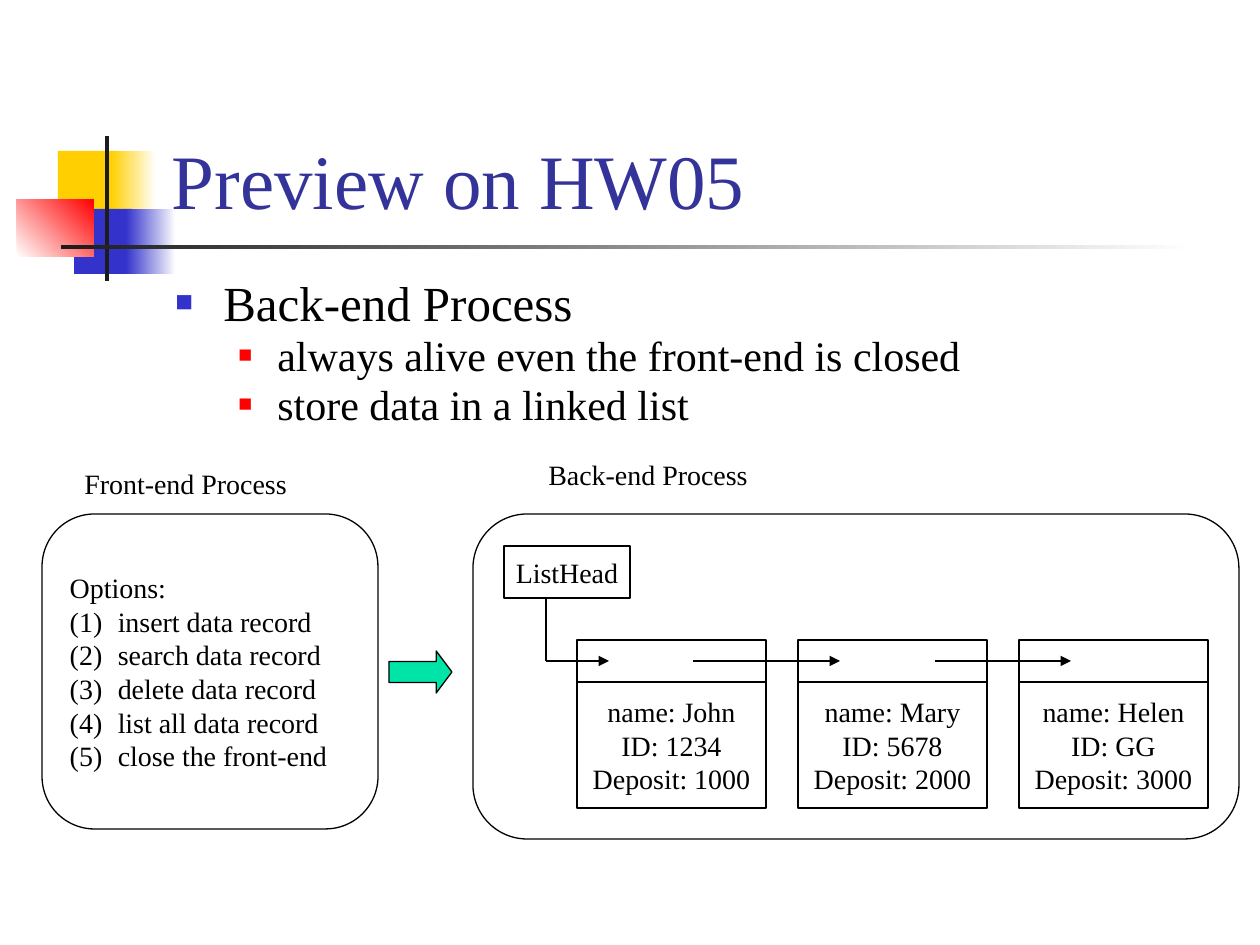
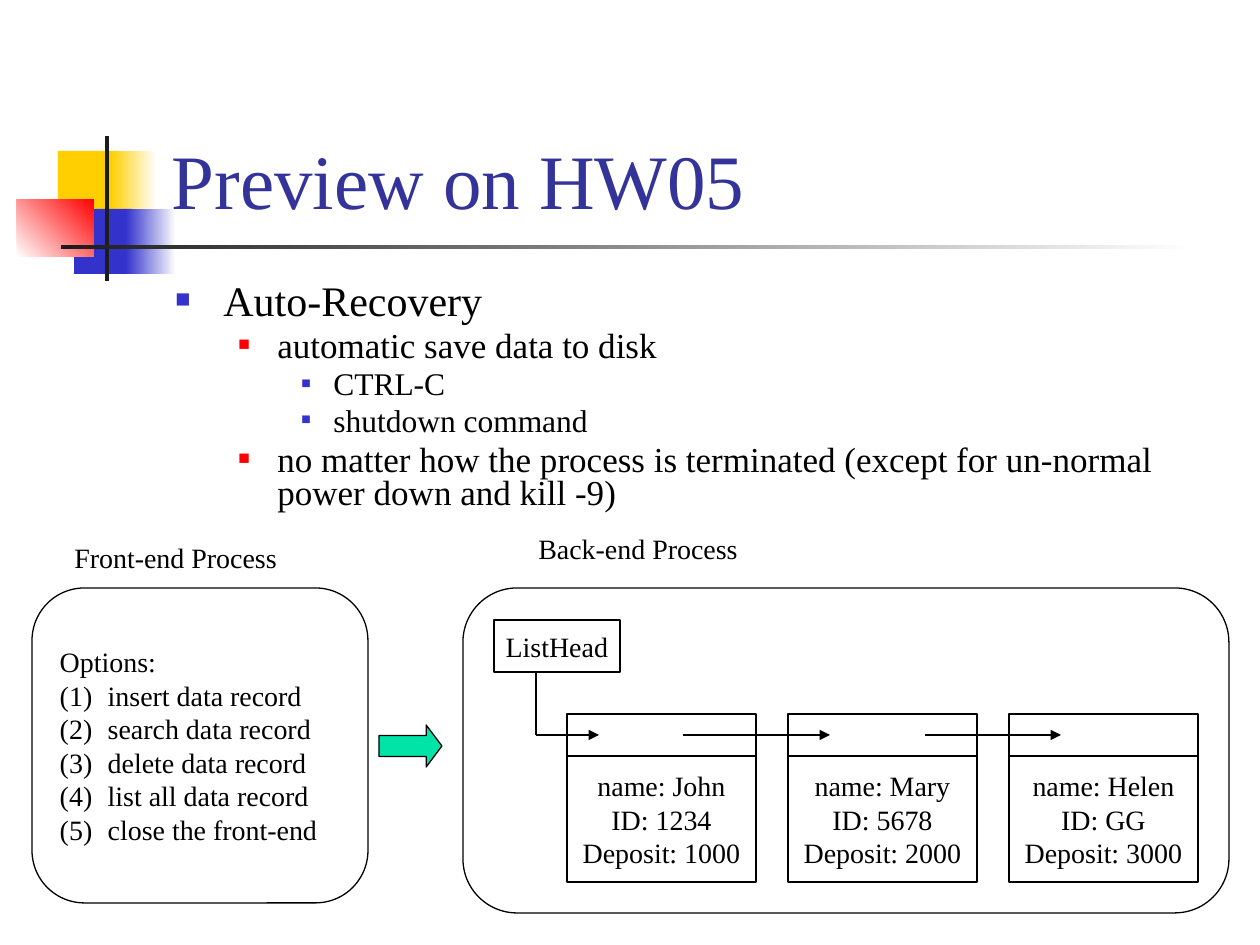
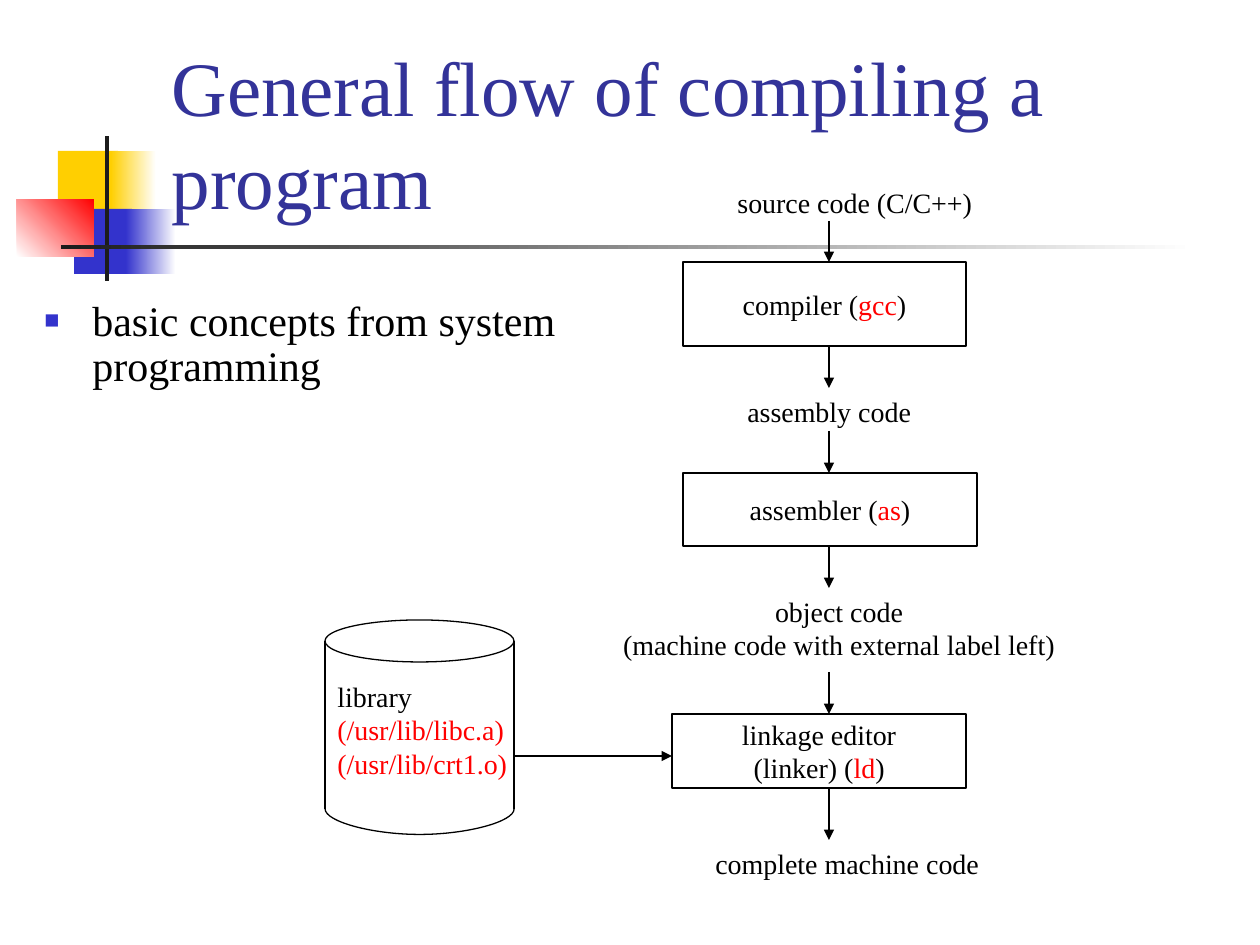
from lxml import etree
from pptx import Presentation
from pptx.dml.color import RGBColor
from pptx.enum.shapes import MSO_CONNECTOR, MSO_SHAPE
from pptx.enum.text import MSO_ANCHOR, MSO_AUTO_SIZE, PP_ALIGN
from pptx.oxml.ns import qn
from pptx.util import Emu, Pt

RECT = MSO_SHAPE.RECTANGLE
ROUND = MSO_SHAPE.ROUNDED_RECTANGLE
ARROW = MSO_SHAPE.RIGHT_ARROW
OVAL = MSO_SHAPE.OVAL
LINE = MSO_CONNECTOR.STRAIGHT
CURVE = MSO_CONNECTOR.CURVE
LEFT, MID = PP_ALIGN.LEFT, PP_ALIGN.CENTER
GROW, FIXED = MSO_AUTO_SIZE.SHAPE_TO_FIT_TEXT, MSO_AUTO_SIZE.NONE

FONT = "Times New Roman"
BLACK, WHITE, RED = "000000", "FFFFFF", "FF0000"
NAVY, BLUE, GOLD = "333399", "3333CC", "FFCF01"
DARK, GREEN = "1C1C1C", "00E4A8"
LEVELS = [(48, 48, BLUE, 60), (102, 39, RED, 55), (158, 32, BLUE, 50)]
BANDS = [
    (58, 151, 60, 65, GOLD, None, 0),
    (111, 151, 45, 65, GOLD, WHITE, 0),
    (74, 209, 58, 65, BLUE, None, 0),
    (126, 209, 50, 65, BLUE, WHITE, 0),
    (17, 199, 77, 58, WHITE, RED, 45),
    (105, 136, 4, 145, DARK, None, 0),
    (61, 245, 1134, 4, DARK, WHITE, 0),
]
NODES = [("John", "1234", "1000"), ("Mary", "5678", "2000"),
         ("Helen", "GG", "3000")]
OPTIONS = ["insert data record", "search data record", "delete data record",
           "list all data record", "close the front-end"]


def px(n):
    """Turn picture pixels into EMU."""
    return Emu(round(n * 914400 / 126))


def rgb(code):
    """Turn a hex string into a colour."""
    return RGBColor.from_string(code)


def sub(node, tag, **attrs):
    """Append one XML child with attributes."""
    child = etree.SubElement(node, qn(tag))
    for key, val in attrs.items():
        child.set(key, str(val))
    return child


class Deck:
    """Holds the deck style and the current slide."""

    def __init__(self):
        """Open an empty deck of the right size."""
        self.prs = Presentation()
        self.prs.slide_width, self.prs.slide_height = px(1260), px(945)
        self.layout = self.prs.slide_layouts[5]
        self.slide = None

    def start(self, text):
        """Add a slide with its title."""
        first = self.slide is None
        self.slide = self.prs.slides.add_slide(self.layout)
        if first:
            self.bands()
        title = self.slide.shapes.title
        title.left, title.top = px(159), px(29)
        title.width, title.height = px(1074), px(202)
        frame = title.text_frame
        frame.word_wrap, frame.auto_size = True, FIXED
        frame.vertical_anchor = MSO_ANCHOR.BOTTOM
        self.para(frame.paragraphs[0], text, LEFT, 44, NAVY)

    def bands(self):
        """Put the coloured bands on the shared layout."""
        for num, (x, y, w, h, tone, end, angle) in enumerate(BANDS, 20):
            band = self.shape(RECT, x, y, w, h, fill=tone)
            band.line.fill.background()
            if end:
                band.fill.gradient()
                band.fill.gradient_angle = angle
                for stop, code in zip(band.fill.gradient_stops, (tone, end)):
                    stop.color.rgb = rgb(code)
            band.element.nvSpPr.cNvPr.set("id", str(num))
            self.layout.shapes.element.append(band.element)

    def para(self, para, text, align=LEFT, size=16, tone=BLACK):
        """Fill a paragraph; parts between bars are red."""
        para.alignment = align
        for i, part in enumerate(text.split("|")):
            if part:
                run = para.add_run()
                run.text = part
                run.font.name, run.font.size = FONT, Pt(size)
                run.font.color.rgb = rgb(RED if i % 2 else tone)

    def fill(self, frame, lines, align):
        """Write unwrapped lines into a frame."""
        frame.word_wrap = False
        for i, text in enumerate(lines):
            para = frame.add_paragraph() if i else frame.paragraphs[0]
            self.para(para, text, align)

    def shape(self, kind, x, y, w, h, lines=(), align=MID, fill=None):
        """Add an outlined shape with optional text."""
        shape = self.slide.shapes.add_shape(kind, px(x), px(y), px(w), px(h))
        shape.shadow.inherit = False
        shape.line.color.rgb, shape.line.width = rgb(BLACK), Pt(0.75)
        if fill:
            shape.fill.solid()
            shape.fill.fore_color.rgb = rgb(fill)
        else:
            shape.fill.background()
        shape.text_frame.vertical_anchor = MSO_ANCHOR.MIDDLE
        self.fill(shape.text_frame, lines, align)
        return shape

    def label(self, x, y, w, h, *lines, align=LEFT):
        """Add a free text label."""
        box = self.slide.shapes.add_textbox(px(x), px(y), px(w), px(h))
        self.fill(box.text_frame, lines, align)
        box.text_frame.auto_size = GROW

    def line(self, x, y, to_x, to_y, head=True, kind=LINE):
        """Add a line, with an arrowhead by default."""
        line = self.slide.shapes.add_connector(
            kind, px(x), px(y), px(to_x), px(to_y))
        line.line.color.rgb, line.line.width = rgb(BLACK), Pt(0.75)
        props = line.element.spPr
        if head:
            sub(props.find(qn("a:ln")), "a:tailEnd", type="triangle")
        sub(props, "a:effectLst")
        return line

    def bowl(self, x, y, w):
        """Add a curve that hangs between two level points."""
        mid = x + w / 2
        curve = self.line(mid, y - w / 2, mid, y + w / 2, False, CURVE)
        curve.width = Emu(1588)
        props = curve.element.spPr
        frame = props.find(qn("a:xfrm"))
        frame.set("rot", "16200000")
        frame.set("flipH", "1")
        geom = props.find(qn("a:prstGeom"))
        for old in geom.findall(qn("a:avLst")):
            geom.remove(old)
        sub(sub(geom, "a:avLst"), "a:gd", name="adj1", fmla="val 12900000")

    def body(self, x, y, w, h, rows, space=0.8):
        """Add a bulleted list of (level, size, text) rows."""
        box = self.slide.shapes.add_textbox(px(x), px(y), px(w), px(h))
        frame = box.text_frame
        frame.word_wrap = True
        for i, (level, size, text) in enumerate(rows):
            para = frame.add_paragraph() if i else frame.paragraphs[0]
            self.para(para, text, LEFT, size)
            para.level, para.line_spacing = level, space
            para.space_before = Pt(size * 0.2)
            left, hang, tone, scale = LEVELS[level]
            props = self.indent(para, left, hang)
            sub(sub(props, "a:buClr"), "a:srgbClr", val=tone)
            sub(props, "a:buSzPct", val=scale * 1000)
            sub(props, "a:buFont", typeface=FONT)
            sub(props, "a:buChar", char="■")

    def indent(self, para, left, hang):
        """Set a hanging indent and return the paragraph properties."""
        props = para._p.get_or_add_pPr()
        props.set("marL", str(px(left)))
        props.set("indent", str(px(-hang)))
        return props

    def process(self, x, y):
        """Draw the front-end and back-end processes from a corner."""
        for i, (name, key, sum_) in enumerate(NODES):
            left = x + 535 + 221 * i
            self.shape(RECT, left, y + 168, 189, 126,
                       [f"name: {name}", f"ID: {key}", f"Deposit: {sum_}"])
            self.shape(RECT, left, y + 126, 189, 42)
        self.shape(RECT, x + 462, y + 32, 126, 52, ["ListHead"])
        self.line(x + 504, y + 84, x + 504, y + 147, False)
        for start, end in [(504, 567), (651, 798), (893, 1029)]:
            self.line(x + start, y + 147, x + end, y + 147)
        self.shape(ROUND, x + 431, y, 766, 325)
        self.label(x + 494, y - 63, 226, 47, "Back-end Process")
        menu = self.shape(ROUND, x, y, 336, 315, ["Options:"] + OPTIONS, LEFT)
        for i, para in enumerate(menu.text_frame.paragraphs):
            props = self.indent(para, 48, 48)
            if i:
                sub(props, "a:buFont", typeface=FONT)
                sub(props, "a:buAutoNum", type="arabicParenBoth")
        self.label(x + 30, y - 54, 229, 47, "Front-end Process")
        arrow = self.shape(ARROW, x + 347, y + 137, 63, 42, fill=GREEN)
        arrow.adjustments[1] = 0.375

    def library(self, x, y, w):
        """Draw the library drum."""
        self.shape(OVAL, x, y, w, 42)
        for side in (x, x + w):
            self.line(side, y + 21, side, y + 189, False)
        self.bowl(x, y + 189, w)
        self.label(x, y + 53, 197, 113, "library",
                   "|(/usr/lib/libc.a)", "|(/usr/lib/crt1.o)")


deck = Deck()

deck.start("Preview on HW05")
deck.body(163, 278, 1071, 163, [
    (0, 28, "Back-end Process"),
    (1, 24, "always alive even the front-end is closed"),
    (1, 24, "store data in a linked list"),
])
deck.process(42, 514)

deck.start("Preview on HW05")
deck.body(163, 278, 1071, 247, [
    (0, 24, "Auto-Recovery"),
    (1, 20, "automatic save data to disk"),
    (2, 18, "CTRL-C"),
    (2, 18, "shutdown command"),
    (1, 20, "no matter how the process is terminated "
            "(except for un-normal power down and kill -9)"),
])
deck.process(32, 588)

deck.start("General flow of compiling a program")
deck.body(32, 294, 577, 105,
          [(0, 24, "basic concepts from system programming")], 0.9)
deck.label(725, 179, 261, 47, "source code (C/C++)")
deck.shape(RECT, 683, 262, 283, 84, ["compiler (|gcc|)"])
deck.label(735, 388, 190, 47, "assembly code")
deck.shape(RECT, 683, 473, 294, 73, ["assembler (|as|)"])
deck.label(609, 588, 460, 81, "object code",
           "(machine code with external label left)", align=MID)
deck.shape(RECT, 672, 714, 294, 74, ["linkage editor", "(linker) (|ld|)"])
deck.label(703, 840, 291, 47, "complete machine code")
for top, end in [(221, 262), (346, 388), (431, 473), (546, 588),
                 (672, 714), (788, 840)]:
    deck.line(829, top, 829, end)
deck.library(325, 620, 189)
deck.line(514, 756, 672, 756)

deck.prs.save("out.pptx")
